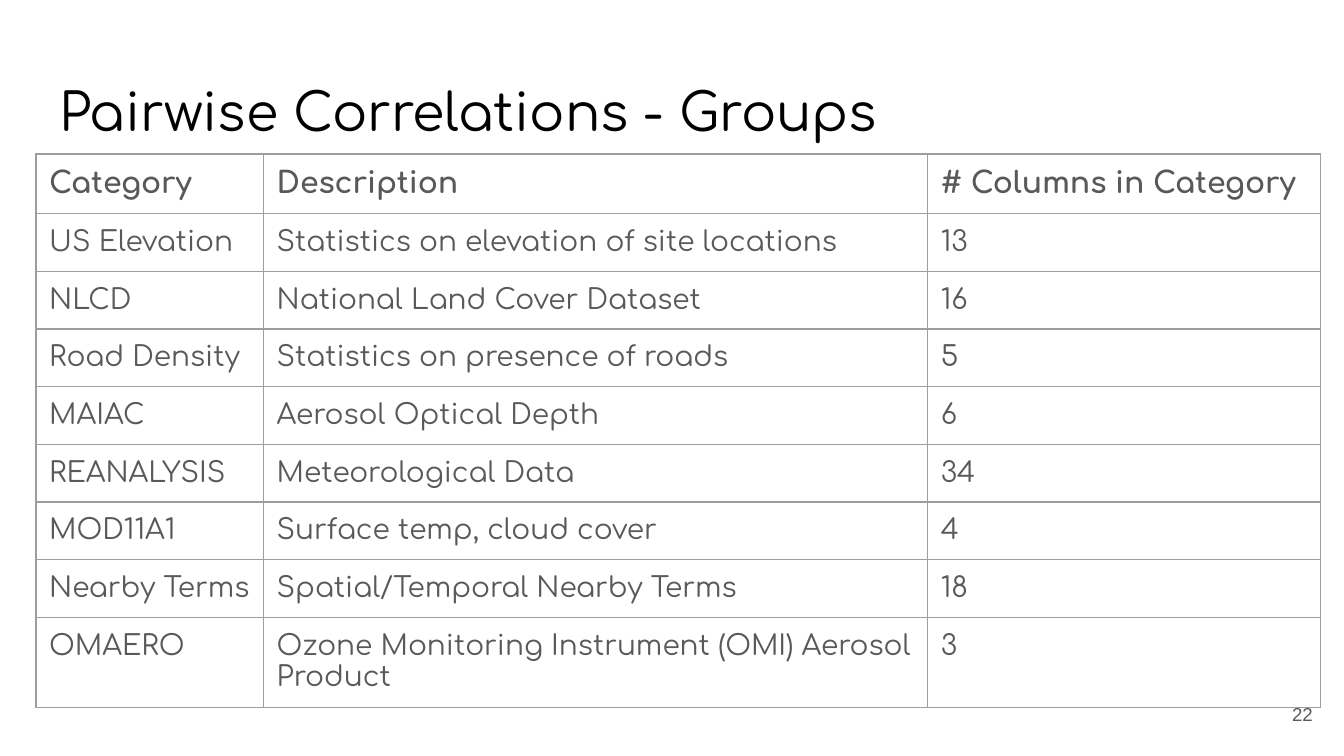
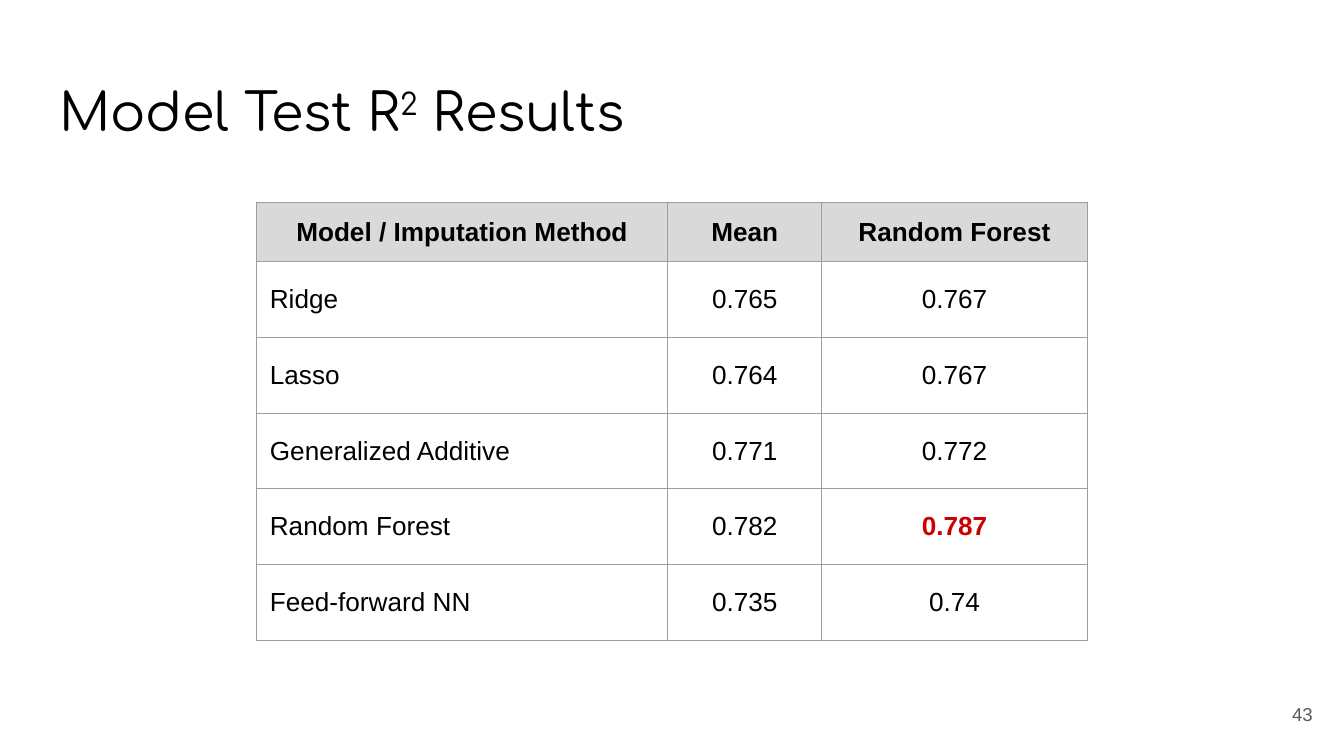
import pptx
import pptx.dml.color
import pptx.enum.text
import pptx.oxml
import pptx.oxml.ns
import pptx.util
from pptx.util import Cm

RGBColor = pptx.dml.color.RGBColor
Align = pptx.enum.text.PP_ALIGN
Anchor = pptx.enum.text.MSO_ANCHOR

BLACK = RGBColor(0x00, 0x00, 0x00)
GREY_TEXT = RGBColor(0x59, 0x59, 0x59)
GRID = RGBColor(0x9E, 0x9E, 0x9E)
HEADER_FILL = RGBColor(0xD9, 0xD9, 0xD9)
BEST_RED = RGBColor(0xCC, 0x00, 0x00)
TITLE_FONT = "Comfortaa"
BODY_FONT = "Arial"
INSET = Cm(0.25)
TIGHT_INSET = Cm(0.1)

GROUP_ROWS = [
    ("Category", "Description", "# Columns in Category"),
    ("US Elevation", "Statistics on elevation of site locations", "13"),
    ("NLCD", "National Land Cover Dataset", "16"),
    ("Road Density", "Statistics on presence of roads", "5"),
    ("MAIAC", "Aerosol Optical Depth", "6"),
    ("REANALYSIS", "Meteorological Data", "34"),
    ("MOD11A1", "Surface temp, cloud cover", "4"),
    ("Nearby Terms", "Spatial/Temporal Nearby Terms", "18"),
    ("OMAERO", "Ozone Monitoring Instrument (OMI) Aerosol Product", "3"),
]
RESULT_ROWS = [
    ("Model / Imputation Method", "Mean", "Random Forest"),
    ("Ridge", "0.765", "0.767"),
    ("Lasso", "0.764", "0.767"),
    ("Generalized Additive", "0.771", "0.772"),
    ("Random Forest", "0.782", "0.787"),
    ("Feed-forward NN", "0.735", "0.74"),
]
BEST_RESULT = "0.787"


def set_font(paragraph, name, size, color, bold=False):
    font = paragraph.font
    font.name = name
    font.size = pptx.util.Pt(size)
    font.bold = bold
    font.color.rgb = color


def set_insets(holder):
    holder.margin_left = holder.margin_right = INSET
    holder.margin_top = holder.margin_bottom = INSET


def add_text(page, left, top, width, height, anchor):
    box = page.shapes.add_textbox(Cm(left), Cm(top), Cm(width), Cm(height))
    frame = box.text_frame
    frame.word_wrap = True
    frame.vertical_anchor = anchor
    set_insets(frame)
    return frame.paragraphs[0]


def add_title(page, before, superscript="", after=""):
    paragraph = add_text(page, 0.87, 1.24, 23.67, 1.6, Anchor.TOP)
    for text in filter(None, (before, superscript, after)):
        span = paragraph.add_run()
        span.text = text
        if text == superscript:
            span.font._element.set("baseline", "30000")
    set_font(paragraph, TITLE_FONT, 28, BLACK)


def add_page_number(page, number):
    paragraph = add_text(page, 23.54, 12.95, 1.52, 1.09, Anchor.MIDDLE)
    paragraph.text = str(number)
    paragraph.alignment = Align.RIGHT
    set_font(paragraph, BODY_FONT, 10, GREY_TEXT)


def add_borders(cell):
    properties = cell._tc.get_or_add_tcPr()
    for side in ("lnL", "lnR", "lnT", "lnB"):
        properties.append(pptx.oxml.parse_xml(
            f'<a:{side} {pptx.oxml.ns.nsdecls("a")} w="9525"><a:solidFill>'
            f'<a:srgbClr val="{GRID}"/></a:solidFill></a:{side}>'))


def add_grid(page, left, top, widths, heights, rows, style_cell):
    frame = page.shapes.add_table(
        len(rows), len(widths), Cm(left), Cm(top), Cm(sum(widths)), Cm(sum(heights)))
    table = frame.table
    table.first_row = table.horz_banding = False
    for column, width in zip(table.columns, widths):
        column.width = Cm(width)
    for row_index, (height, texts) in enumerate(zip(heights, rows)):
        table.rows[row_index].height = Cm(height)
        for column_index, text in enumerate(texts):
            cell = table.cell(row_index, column_index)
            cell.text = text
            set_insets(cell)
            add_borders(cell)
            cell.fill.background()
            style_cell(cell, row_index == 0, column_index)


def style_group_cell(cell, is_header, column):
    cell.margin_bottom = TIGHT_INSET
    set_font(cell.text_frame.paragraphs[0], TITLE_FONT,
             16 if is_header else 15, GREY_TEXT, is_header)


def style_result_cell(cell, is_header, column):
    is_best = cell.text == BEST_RESULT
    paragraph = cell.text_frame.paragraphs[0]
    cell.vertical_anchor = Anchor.MIDDLE
    if is_header:
        cell.fill.solid()
        cell.fill.fore_color.rgb = HEADER_FILL
    paragraph.alignment = Align.CENTER if is_header or column else Align.LEFT
    set_font(paragraph, BODY_FONT, 14, BEST_RED if is_best else BLACK,
             is_header or is_best)


def add_page(deck):
    return deck.slides.add_slide(deck.slide_layouts[6])


def main():
    deck = pptx.Presentation()
    deck.slide_width, deck.slide_height = Cm(25.4), Cm(14.29)

    groups = add_page(deck)
    add_title(groups, "Pairwise Correlations - Groups")
    add_grid(groups, 0.68, 2.91, (4.3, 12.55, 7.42),
             [1.13] + [1.09] * (len(GROUP_ROWS) - 2) + [1.7],
             GROUP_ROWS, style_group_cell)
    add_page_number(groups, 22)

    results = add_page(deck)
    add_title(results, "Model Test R", "2", " Results")
    add_grid(results, 4.85, 3.83, (7.77, 2.91, 5.02),
             [1.12] + [1.43] * (len(RESULT_ROWS) - 1), RESULT_ROWS, style_result_cell)
    add_page_number(results, 43)

    deck.save("out.pptx")


if __name__ == "__main__":
    main()
